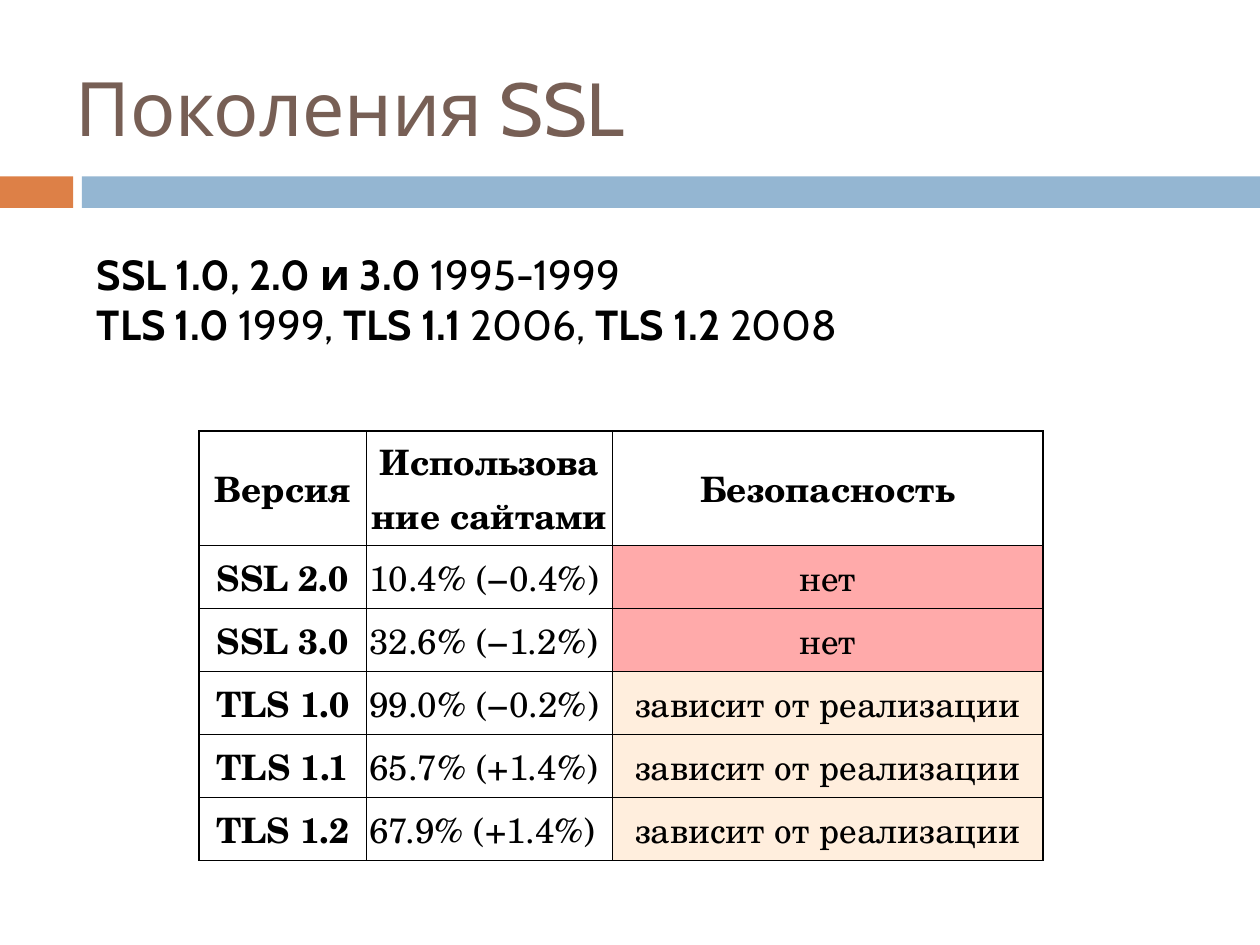
from typing import NamedTuple

from lxml.etree import SubElement
from pptx import Presentation
from pptx.dml.color import RGBColor
from pptx.enum.shapes import MSO_SHAPE as Shape
from pptx.enum.text import MSO_ANCHOR as Anchor, PP_ALIGN as Align
from pptx.oxml.ns import qn
from pptx.util import Inches, Pt

BLACK = "000000"
UNSAFE = "FFAAAA"
DEPENDS = "FFEEDD"


class Bar(NamedTuple):
    left: float
    width: float
    color: str


class Span(NamedTuple):
    text: str
    bold: bool = False


class Version(NamedTuple):
    name: str
    usage: str
    security: str
    color: str


BARS = [Bar(0, 0.58, "DD8047"), Bar(0.65, 9.35, "94B6D2")]
TITLE = [[Span("Поколения SSL\u00a0")]]
HISTORY = [
    [Span("SSL 1.0, 2.0 и 3.0 ", True), Span("1995-1999")],
    [Span("TLS 1.0 ", True), Span("1999, "), Span("TLS 1.1 ", True),
     Span("2006, "), Span("TLS 1.2 ", True), Span("2008")],
]
HEADINGS = ["Версия", "Использование сайтами", "Безопасность"]
VERSIONS = [
    Version("SSL 2.0", "10.4% (−0.4%)", "нет", UNSAFE),
    Version("SSL 3.0", "32.6% (−1.2%)", "нет", UNSAFE),
    Version("TLS 1.0", "99.0% (−0.2%)", "зависит от реализации", DEPENDS),
    Version("TLS 1.1", "65.7% (+1.4%)", "зависит от реализации", DEPENDS),
    Version("TLS 1.2", "67.9% (+1.4%)", "зависит от реализации", DEPENDS),
]
COLUMN_WIDTHS = [1.33, 1.95, 3.42]
ROW_HEIGHTS = [0.91] + [0.5] * len(VERSIONS)


def rgb(color: str) -> RGBColor:
    return RGBColor.from_string(color)


def style_font(font, name: str, size: float, color: str, bold: bool) -> None:
    font.name = name
    font.size = Pt(size)
    font.color.rgb = rgb(color)
    font.bold = bold


def draw_bar(page, bar: Bar) -> None:
    shape = page.shapes.add_shape(
        Shape.RECTANGLE, Inches(bar.left), Inches(1.4), Inches(bar.width), Inches(0.25))
    shape.shadow.inherit = False
    shape.fill.solid()
    shape.fill.fore_color.rgb = rgb(bar.color)
    shape.line.fill.background()


def draw_text(page, area: tuple, lines: list[list[Span]], size: float,
              color: str, anchor: Anchor) -> None:
    frame = page.shapes.add_textbox(*map(Inches, area)).text_frame
    frame.word_wrap = True
    frame.vertical_anchor = anchor
    for index, line in enumerate(lines):
        para = frame.add_paragraph() if index else frame.paragraphs[0]
        for span in line:
            run = para.add_run()
            run.text = span.text
            style_font(run.font, "Cabin", size, color, span.bold)


def add_borders(cell) -> None:
    properties = cell._tc.get_or_add_tcPr()
    for position, side in enumerate(("lnL", "lnR", "lnT", "lnB")):
        line = properties.makeelement(qn(f"a:{side}"), {"w": str(Pt(1))})
        fill = SubElement(line, qn("a:solidFill"))
        SubElement(fill, qn("a:srgbClr"), val=BLACK)
        properties.insert(position, line)


def fill_cell(cell, text: str, bold: bool, align: Align, color: str | None) -> None:
    cell.margin_left = cell.margin_right = Inches(0.02)
    cell.margin_top = cell.margin_bottom = Inches(0.02)
    cell.vertical_anchor = Anchor.MIDDLE
    cell.text_frame.text = text
    para = cell.text_frame.paragraphs[0]
    para.alignment = align
    style_font(para.runs[0].font, "TeX Gyre Schola", 20, BLACK, bold)
    if color:
        cell.fill.solid()
        cell.fill.fore_color.rgb = rgb(color)
    else:
        cell.fill.background()
    add_borders(cell)


def draw_table(page) -> None:
    table = page.shapes.add_table(
        len(ROW_HEIGHTS), len(COLUMN_WIDTHS), Inches(1.58), Inches(3.42),
        Inches(sum(COLUMN_WIDTHS)), Inches(sum(ROW_HEIGHTS))).table
    table.first_row = table.horz_banding = False
    for column, width in zip(table.columns, COLUMN_WIDTHS):
        column.width = Inches(width)
    for row, height in zip(table.rows, ROW_HEIGHTS):
        row.height = Inches(height)
    for column, heading in enumerate(HEADINGS):
        fill_cell(table.cell(0, column), heading, True, Align.CENTER, None)
    for row, version in enumerate(VERSIONS, start=1):
        fill_cell(table.cell(row, 0), version.name, True, Align.CENTER, None)
        fill_cell(table.cell(row, 1), version.usage, False, Align.LEFT, None)
        fill_cell(table.cell(row, 2), version.security, False, Align.CENTER, version.color)


deck = Presentation()
deck.slide_width, deck.slide_height = Inches(10), Inches(7.5)
page = deck.slides.add_slide(deck.slide_layouts[6])
for bar in BARS:
    draw_bar(page, bar)
draw_text(page, (0.5, 0.3, 9, 1.09), TITLE, 42.9, "775F55", Anchor.MIDDLE)
draw_text(page, (0.67, 1.92, 8.58, 0.91), HISTORY, 24, BLACK, Anchor.TOP)
draw_table(page)
deck.save("out.pptx")
